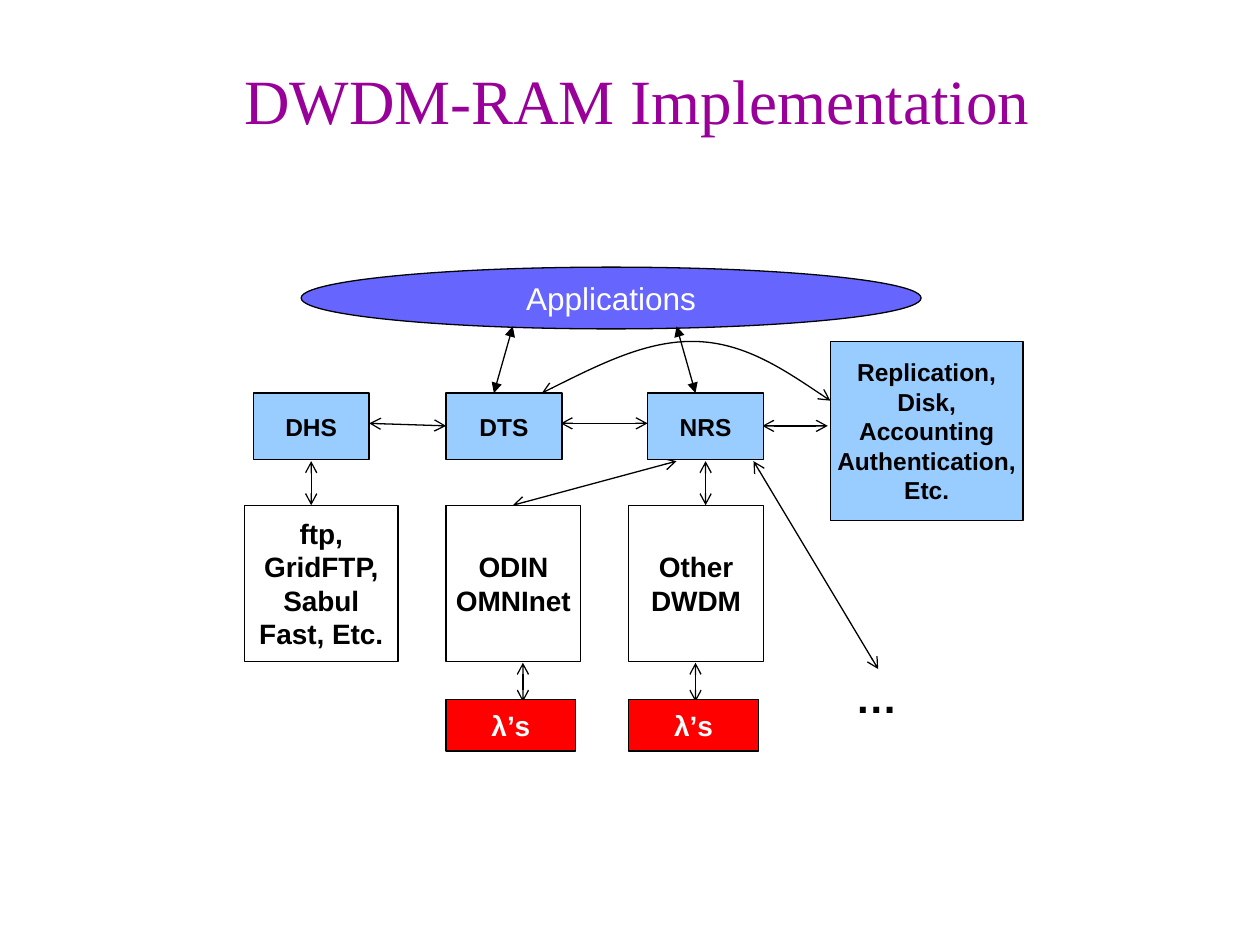
from lxml.etree import SubElement
from pptx import Presentation
from pptx.dml.color import RGBColor
from pptx.enum.shapes import MSO_CONNECTOR, MSO_SHAPE
from pptx.enum.text import MSO_ANCHOR, PP_ALIGN
from pptx.oxml.ns import qn
from pptx.util import Inches, Pt

BLACK = RGBColor(0x00, 0x00, 0x00)
WHITE = RGBColor(0xFF, 0xFF, 0xFF)
PURPLE = RGBColor(0x99, 0x00, 0x99)
VIOLET = RGBColor(0x66, 0x66, 0xFF)
SKY = RGBColor(0x99, 0xCC, 0xFF)
RED = RGBColor(0xFF, 0x00, 0x00)

# Grid: left edges of the columns, top edges of the rows, box sizes
DATA_COLUMN, TRANSFER_COLUMN, NETWORK_COLUMN, SUPPORT_COLUMN = 2.01, 3.54, 5.14, 6.59
BACKEND_COLUMN = 4.99
SERVICE_ROW, BACKEND_ROW, LAMBDA_ROW = 3.12, 4.01, 5.55
SERVICE_SIZE = (0.92, 0.53)
BACKEND_SIZE = (1.07, 1.24)
LAMBDA_SIZE = (1.03, 0.41)
SERVICE_BOTTOM = 3.66
BACKEND_BOTTOM = 5.26
LAMBDA_ARROW_END = 5.57


def write_lines(frame, lines, size, color, font="Arial", bold=True, align=PP_ALIGN.CENTER):
    for index, line in enumerate(lines):
        paragraph = frame.add_paragraph() if index else frame.paragraphs[0]
        paragraph.alignment = align
        run = paragraph.add_run()
        run.text = line
        run.font.name = font
        run.font.size = Pt(size)
        run.font.bold = bold
        run.font.color.rgb = color


def add_label(slide, left, top, width, height, text, size, color, **style):
    box = slide.shapes.add_textbox(Inches(left), Inches(top), Inches(width), Inches(height))
    box.text_frame.word_wrap = True
    write_lines(box.text_frame, [text], size, color, **style)
    return box


def add_box(slide, left, top, dimensions, lines, size, fill, color=BLACK,
            kind=MSO_SHAPE.RECTANGLE, bold=True):
    width, height = dimensions
    shape = slide.shapes.add_shape(kind, Inches(left), Inches(top), Inches(width), Inches(height))
    shape.shadow.inherit = False
    shape.fill.solid()
    shape.fill.fore_color.rgb = fill
    shape.line.color.rgb = BLACK
    shape.line.width = Pt(0.75)
    frame = shape.text_frame
    frame.word_wrap = False
    frame.vertical_anchor = MSO_ANCHOR.MIDDLE
    write_lines(frame, lines, size, color, bold=bold)


def style_arrow(shape, head):
    """Thin black line with the same arrowhead at both ends."""
    shape.line.color.rgb = BLACK
    shape.line.width = Pt(0.75)
    line = shape.line._get_or_add_ln()
    for end in ("a:headEnd", "a:tailEnd"):
        SubElement(line, qn(end), type=head, w="med", len="med")


def add_arrow(slide, start, end, head="arrow"):
    points = [Inches(value) for value in (*start, *end)]
    connector = slide.shapes.add_connector(MSO_CONNECTOR.STRAIGHT, *points)
    style_arrow(connector, head)
    SubElement(connector._element.spPr, qn("a:effectLst"))


def add_curved_arrow(slide, start, points):
    """Every three points are two controls and the end of one Bezier segment."""
    builder = slide.shapes.build_freeform(Inches(start[0]), Inches(start[1]))
    builder.add_line_segments([(Inches(x), Inches(y)) for x, y in points], close=False)
    curve = builder.convert_to_shape()
    curve.shadow.inherit = False
    curve.fill.background()
    style_arrow(curve, "arrow")
    steps = list(curve._element.iter(qn("a:lnTo")))
    outline = steps[0].getparent()
    for index, step in enumerate(steps):
        if index % 3 == 0:
            bezier = SubElement(outline, qn("a:cubicBezTo"))
        bezier.append(step[0])
        outline.remove(step)


def add_arrows(slide):
    # Applications to services
    for top_x, bottom_x in ((4.07, 3.92), (5.37, 5.52)):
        add_arrow(slide, (top_x, 2.59), (bottom_x, SERVICE_ROW), "triangle")
    # Between services
    add_arrow(slide, (2.93, 3.36), (TRANSFER_COLUMN, 3.38))
    add_arrow(slide, (4.45, 3.36), (NETWORK_COLUMN, 3.36))
    add_arrow(slide, (6.05, 3.38), (6.57, 3.38))
    # Services to back ends
    for top_x, bottom_x in ((2.47, 2.47), (5.37, 4.07), (5.6, 5.6)):
        add_arrow(slide, (top_x, SERVICE_BOTTOM), (bottom_x, BACKEND_ROW))
    add_arrow(slide, (5.98, SERVICE_BOTTOM), (6.97, 5.31))
    # Back ends to wavelengths
    for x in (4.15, 5.52):
        add_arrow(slide, (x, BACKEND_BOTTOM), (x, LAMBDA_ARROW_END))


def main():
    presentation = Presentation()
    presentation.slide_width = Inches(10)
    presentation.slide_height = Inches(7.5)
    slide = presentation.slides.add_slide(presentation.slide_layouts[6])

    # Title
    title = add_label(slide, 1.04, 0.38, 8.03, 1.08, "DWDM-RAM Implementation", 36, PURPLE,
                      font="Times New Roman", bold=False)
    title.text_frame.margin_top = Inches(0.11)

    # Applications layer and links
    add_box(slide, 2.39, 2.12, (4.92, 0.49), ["Applications"], 18, VIOLET, WHITE,
            kind=MSO_SHAPE.OVAL, bold=False)
    add_arrows(slide)

    # Service layer
    services = ((DATA_COLUMN, "DHS"), (TRANSFER_COLUMN, "DTS"), (NETWORK_COLUMN, "NRS"))
    for left, name in services:
        add_box(slide, left, SERVICE_ROW, SERVICE_SIZE, [name], 14, SKY)
    support = ["Replication,", "Disk,", "Accounting", "Authentication,", "Etc."]
    add_box(slide, SUPPORT_COLUMN, 2.71, (1.53, 1.42), support, 14, SKY)
    add_curved_arrow(slide, (4.3, SERVICE_ROW), [
        (4.72, 2.91), (5.14, 2.7), (5.52, 2.71),
        (5.9, 2.72), (6.25, 2.95), (SUPPORT_COLUMN, 3.18)])

    # Back ends, with wavelengths below the networks
    add_box(slide, 1.94, BACKEND_ROW, (1.22, 1.24),
            ["ftp,", "GridFTP,", "Sabul", "Fast, Etc."], 16, WHITE)
    networks = ((TRANSFER_COLUMN, ["ODIN", "OMNInet"]), (BACKEND_COLUMN, ["Other", "DWDM"]))
    for left, lines in networks:
        add_box(slide, left, BACKEND_ROW, BACKEND_SIZE, lines, 16, WHITE)
        add_box(slide, left, LAMBDA_ROW, LAMBDA_SIZE, ["λ’s"], 16, RED, WHITE)
    add_label(slide, 6.69, 5.28, 0.28, 0.5, "…", 24, BLACK, align=PP_ALIGN.LEFT)

    presentation.save("out.pptx")


if __name__ == "__main__":
    main()
